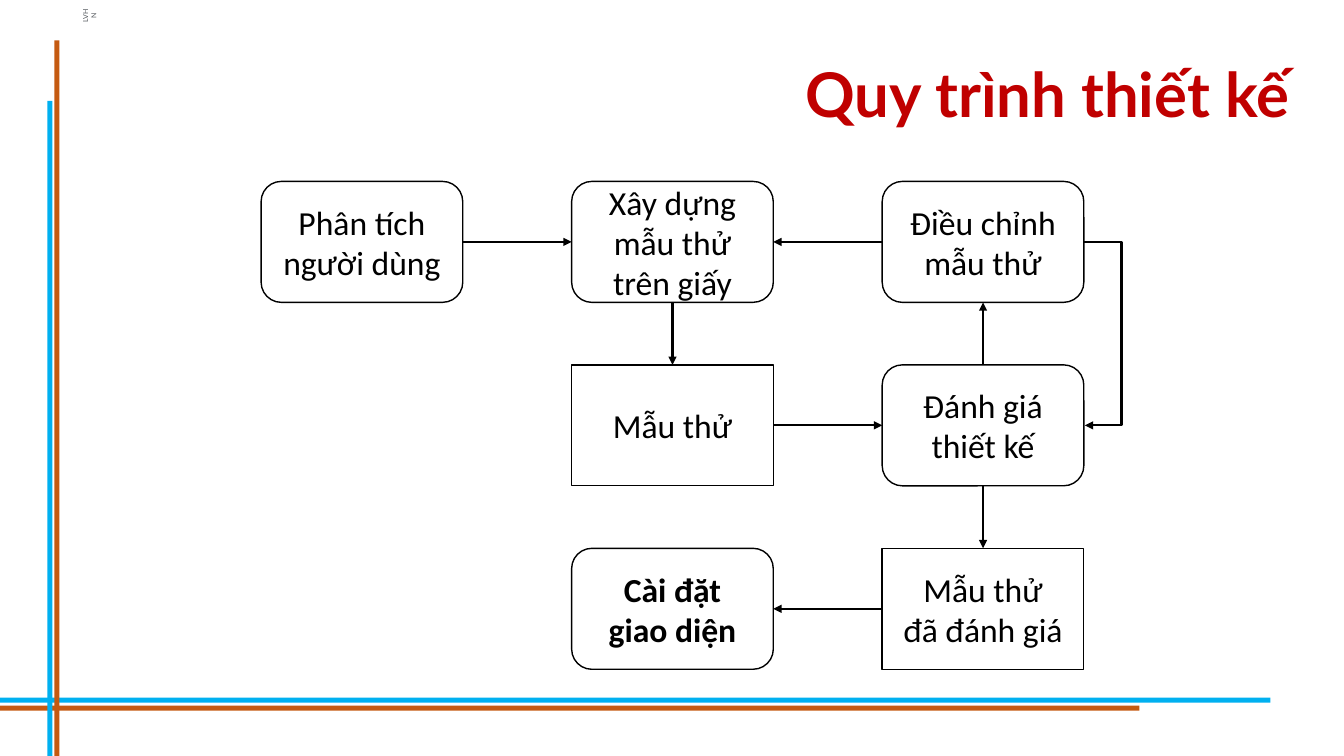
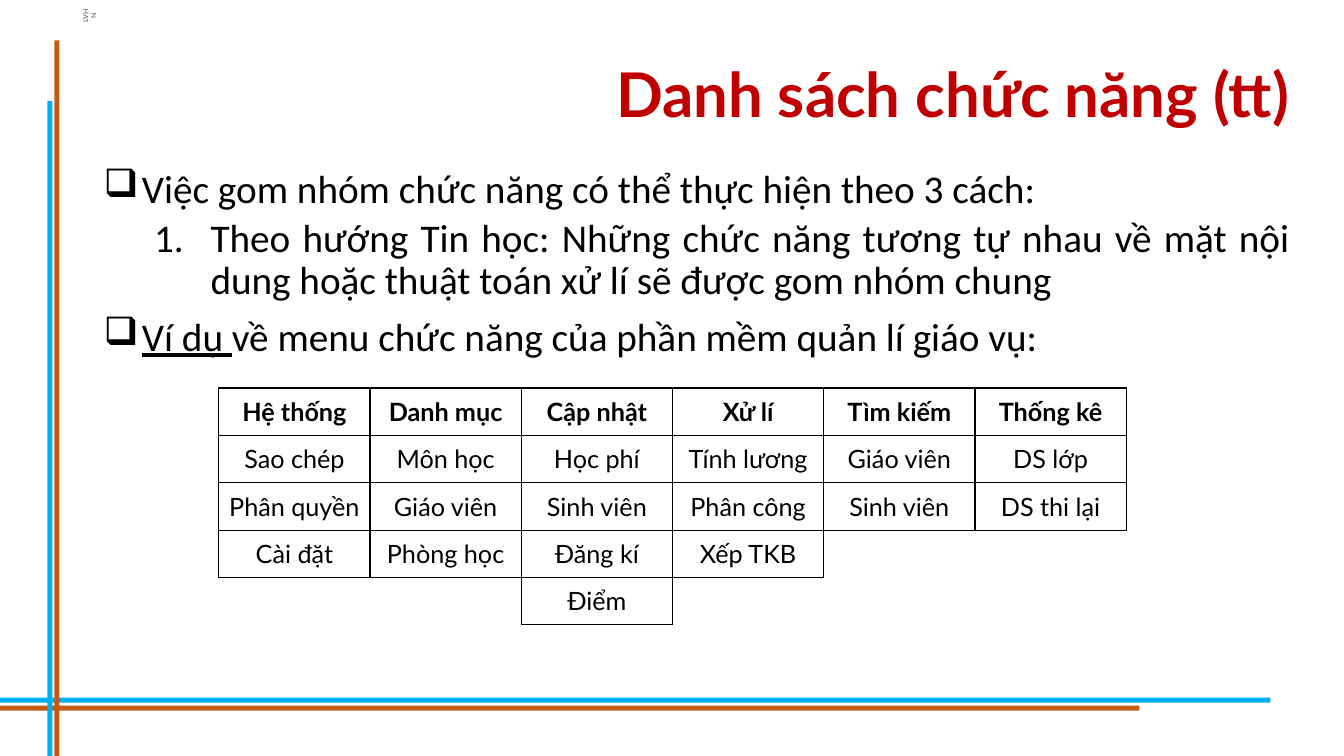
import dataclasses

import lxml.etree
import pptx
import pptx.dml.color
import pptx.enum.shapes
import pptx.enum.text
import pptx.oxml.ns
import pptx.util

Inches = pptx.util.Inches
Pt = pptx.util.Pt
Color = pptx.dml.color.RGBColor.from_string
Shape = pptx.enum.shapes.MSO_SHAPE
Link = pptx.enum.shapes.MSO_CONNECTOR
Align = pptx.enum.text.PP_ALIGN
Anchor = pptx.enum.text.MSO_ANCHOR
qn = pptx.oxml.ns.qn


@dataclasses.dataclass(frozen=True)
class Theme:
    ink: str = "000000"
    paper: str = "FFFFFF"
    title: str = "C00000"
    blue: str = "00B0F0"
    orange: str = "C55A11"
    grey: str = "53575C"
    head_font: str = "Lato"
    body_font: str = "Calibri"
    title_size: int = 44
    body_size: int = 28
    box_size: int = 24
    table_size: int = 18
    mark_size: int = 5


THEME = Theme()

# Content shared by both slides
MARK = "LVHN"
BANDS = [  # left, top, width, height, colour
    (0, 6.92, 12.6, 0.05, THEME.blue),
    (0, 7, 11.3, 0.05, THEME.orange),
    (0.47, 1, 0.05, 6.5, THEME.blue),
    (0.54, 0.4, 0.05, 7.1, THEME.orange),
]

# Content of the process slide
PROCESS_TITLE = "Quy trình thiết kế"
STEPS = {  # name: (column, row, shape, bold, paragraphs)
    "analysis": (0, 0, Shape.ROUNDED_RECTANGLE, False, ["Phân tích người dùng"]),
    "paper": (1, 0, Shape.ROUNDED_RECTANGLE, False, ["Xây dựng mẫu thử trên giấy"]),
    "prototype": (1, 1, Shape.RECTANGLE, False, ["Mẫu thử"]),
    "evaluate": (2, 1, Shape.ROUNDED_RECTANGLE, False, ["Đánh giá thiết kế"]),
    "adjust": (2, 0, Shape.ROUNDED_RECTANGLE, False, ["Điều chỉnh mẫu thử"]),
    "evaluated": (2, 2, Shape.RECTANGLE, False, ["Mẫu thử", "đã đánh giá"]),
    "install": (1, 2, Shape.ROUNDED_RECTANGLE, True, ["Cài đặt", "giao diện"]),
}
TOP, LEFT, BOTTOM, RIGHT = range(4)
ARROWS = [  # from, side, to, side
    ("analysis", RIGHT, "paper", LEFT),
    ("paper", BOTTOM, "prototype", TOP),
    ("adjust", LEFT, "paper", RIGHT),
    ("prototype", RIGHT, "evaluate", LEFT),
    ("evaluate", TOP, "adjust", BOTTOM),
    ("evaluate", BOTTOM, "evaluated", TOP),
    ("evaluated", LEFT, "install", RIGHT),
]

# Content of the function list slide
LIST_TITLE = "Danh sách chức năng (tt)"
BULLET = ("buChar", {"char": "❑"}, 0.38, -0.38, 10)
NUMBER = ("buAutoNum", {"type": "arabicPeriod"}, 1.06, -0.56, 5)
POINTS = [  # marker, runs as (text, underline)
    (BULLET, [("Việc gom nhóm chức năng có thể thực hiện theo 3 cách:", False)]),
    (NUMBER, [("Theo hướng Tin học: Những chức năng tương tự nhau về mặt nội "
               "dung hoặc thuật toán xử lí sẽ được gom nhóm chung", False)]),
    (BULLET, [("Ví dụ ", True),
              ("về menu chức năng của phần mềm quản lí giáo vụ:", False)]),
]
MENU = [  # one list per column, heading first
    ["Hệ thống", "Sao chép", "Phân quyền", "Cài đặt"],
    ["Danh mục", "Môn học", "Giáo viên", "Phòng học"],
    ["Cập nhật", "Học phí", "Sinh viên", "Đăng kí", "Điểm"],
    ["Xử lí", "Tính lương", "Phân công", "Xếp TKB"],
    ["Tìm kiếm", "Giáo viên", "Sinh viên"],
    ["Thống kê", "DS lớp", "DS thi lại"],
]


# Helpers
def add_span(para, text, size, font, color=THEME.ink, bold=False, underline=False):
    span = para.add_run()
    span.text = text
    span.font.size = Pt(size)
    span.font.name = font
    span.font.bold = bold
    span.font.underline = underline
    span.font.color.rgb = Color(color)


def add_text_box(page, left, top, width, height, anchor=Anchor.TOP):
    box = page.shapes.add_textbox(Inches(left), Inches(top), Inches(width), Inches(height))
    box.text_frame.word_wrap = True
    box.text_frame.vertical_anchor = anchor
    return box


def add_box(page, kind, left, top, width, height, fill):
    box = page.shapes.add_shape(kind, Inches(left), Inches(top), Inches(width), Inches(height))
    box.shadow.inherit = False
    box.fill.solid()
    box.fill.fore_color.rgb = Color(fill)
    box.line.fill.background()
    return box


def add_arrow(page, kind, start=(0, 0), end=(0, 0)):
    points = [Inches(value) for value in (*start, *end)]
    arrow = page.shapes.add_connector(kind, *points)
    arrow.line.color.rgb = Color(THEME.ink)
    arrow.line.width = Pt(1.5)
    lxml.etree.SubElement(arrow.line._get_or_add_ln(), qn("a:tailEnd"), type="triangle")
    lxml.etree.SubElement(arrow._element.spPr, qn("a:effectLst"))
    return arrow


def set_border(cell, side, visible):
    props = cell._tc.get_or_add_tcPr()
    edge = lxml.etree.SubElement(props, qn("a:ln" + side), w=str(Pt(1)))
    if visible:
        fill = lxml.etree.SubElement(edge, qn("a:solidFill"))
        lxml.etree.SubElement(fill, qn("a:srgbClr"), val=THEME.ink)
    else:
        lxml.etree.SubElement(edge, qn("a:noFill"))


def add_page(deck, title):
    page = deck.slides.add_slide(deck.slide_layouts[6])
    mark = add_text_box(page, 0.66, 0.06, 0.38, 0.19)
    mark.rotation = 270
    para = mark.text_frame.paragraphs[0]
    para.alignment = Align.CENTER
    add_span(para, MARK, THEME.mark_size, THEME.head_font, THEME.grey)
    for *place, color in BANDS:
        add_box(page, Shape.RECTANGLE, *place, color)
    box = add_text_box(page, 0.92, 0.24, 11.97, 1.45, Anchor.MIDDLE)
    para = box.text_frame.paragraphs[0]
    para.alignment = Align.RIGHT
    para.line_spacing = 0.9
    add_span(para, title, THEME.title_size, THEME.head_font, THEME.title, bold=True)
    return page


# Process slide
def build_process(deck):
    page = add_page(deck, PROCESS_TITLE)
    left, top, width, height = 2.59, 1.8, 2, 1.2
    column_step, row_step = 3.08, 1.82
    boxes = {}
    for name, (column, row, kind, bold, lines) in STEPS.items():
        box = add_box(page, kind, left + column * column_step, top + row * row_step,
                      width, height, THEME.paper)
        box.line.color.rgb = Color(THEME.ink)
        box.line.width = Pt(1)
        frame = box.text_frame
        frame.word_wrap = True
        frame.vertical_anchor = Anchor.MIDDLE
        for index, line in enumerate(lines):
            para = frame.add_paragraph() if index else frame.paragraphs[0]
            para.alignment = Align.CENTER
            add_span(para, line, THEME.box_size, THEME.body_font, bold=bold)
        boxes[name] = box

    for source, source_side, target, target_side in ARROWS:
        arrow = add_arrow(page, Link.STRAIGHT)
        arrow.begin_connect(boxes[source], source_side)
        arrow.end_connect(boxes[target], target_side)

    # Loop back from adjusting to evaluating, around the right-hand side
    right = left + 2 * column_step + width
    middle = top + height / 2
    offset, reach = 0.01, 0.38
    loop = add_arrow(page, Link.ELBOW, (right, middle), (right + offset, middle + row_step))
    guides = loop._element.spPr.find(qn("a:prstGeom")).get_or_add_avLst()
    lxml.etree.SubElement(guides, qn("a:gd"), name="adj1",
                          fmla=f"val {round(reach / offset * 100000)}")


# Function list slide
def build_function_list(deck):
    page = add_page(deck, LIST_TITLE)
    frame = add_text_box(page, 0.93, 1.63, 11.96, 2.15).text_frame
    for index, (marker, runs) in enumerate(POINTS):
        tag, settings, margin, indent, space = marker
        para = frame.add_paragraph() if index else frame.paragraphs[0]
        para.alignment = Align.JUSTIFY
        para.line_spacing = 0.9
        para.space_before = Pt(space)
        props = para._p.get_or_add_pPr()
        props.set("marL", str(Inches(margin)))
        props.set("indent", str(Inches(indent)))
        lxml.etree.SubElement(props, qn("a:" + tag), settings)
        for text, underline in runs:
            add_span(para, text, THEME.body_size, THEME.body_font, underline=underline)

    # Menu table: an edge is drawn when a cell on either side of it has text
    columns, rows = len(MENU), max(map(len, MENU))
    table = page.shapes.add_table(rows, columns, Inches(2.17), Inches(3.85),
                                  Inches(1.5 * columns), Inches(0.47 * rows)).table
    table.first_row = table.horz_banding = False

    def filled(column, row):
        return 0 <= column < columns and 0 <= row < len(MENU[column])

    for column in range(columns):
        for row in range(rows):
            cell = table.cell(row, column)
            for side, across, down in (("L", -1, 0), ("R", 1, 0), ("T", 0, -1), ("B", 0, 1)):
                set_border(cell, side,
                           filled(column, row) or filled(column + across, row + down))
            cell.fill.background()
            cell.vertical_anchor = Anchor.MIDDLE
            if filled(column, row):
                para = cell.text_frame.paragraphs[0]
                para.alignment = Align.CENTER
                add_span(para, MENU[column][row], THEME.table_size, THEME.head_font,
                         bold=row == 0)


def main():
    deck = pptx.Presentation()
    deck.slide_width = Inches(13.33)
    deck.slide_height = Inches(7.5)
    build_process(deck)
    build_function_list(deck)
    deck.save("out.pptx")


if __name__ == "__main__":
    main()
